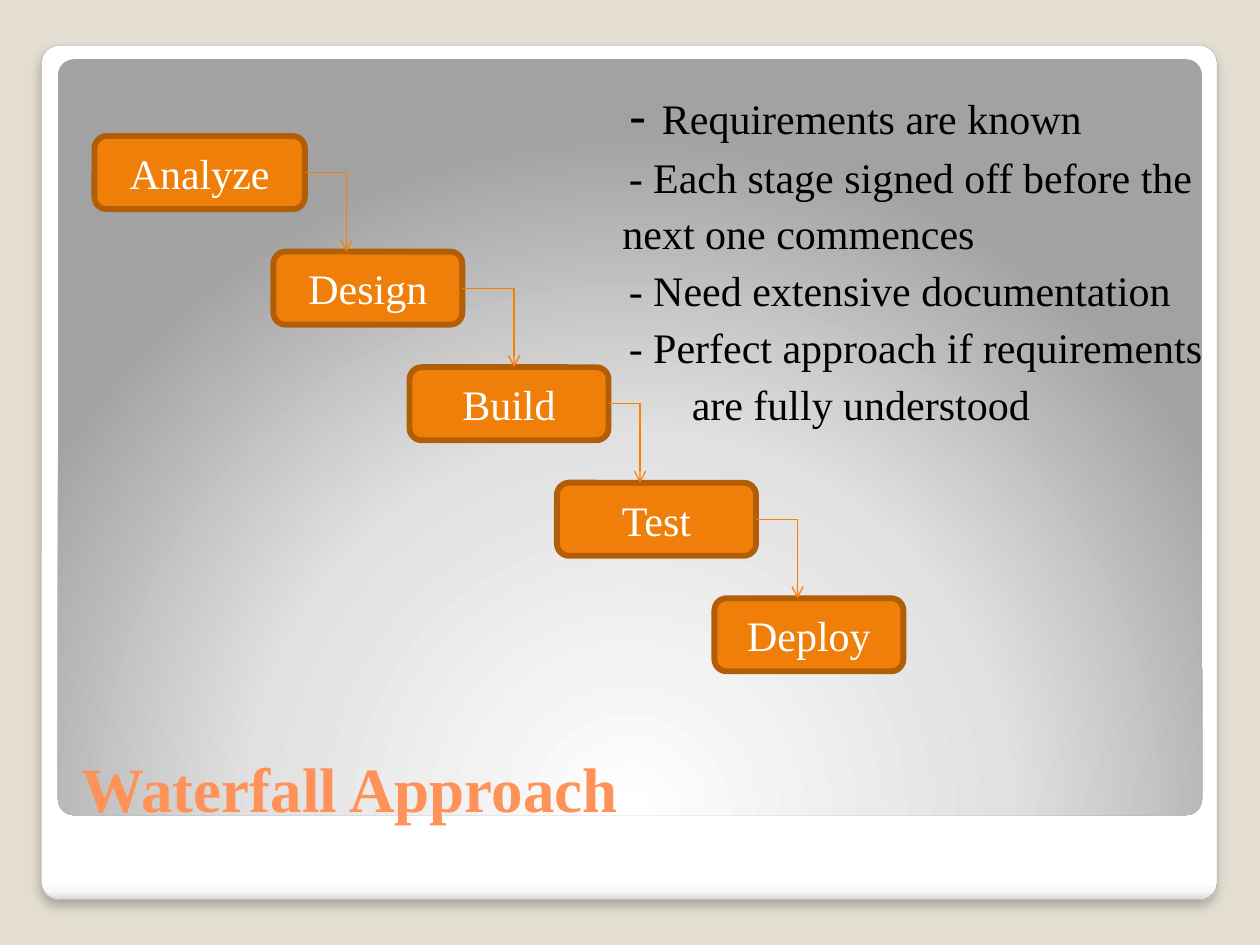
from pptx import Presentation
from pptx.dml.color import RGBColor
from pptx.enum.shapes import MSO_CONNECTOR, MSO_SHAPE
from pptx.enum.text import MSO_ANCHOR, MSO_AUTO_SIZE, PP_ALIGN
from pptx.oxml import parse_xml
from pptx.oxml.ns import nsdecls, qn
from pptx.util import Inches, Pt

ROUND = MSO_SHAPE.ROUNDED_RECTANGLE
ELBOW = MSO_CONNECTOR.ELBOW
LEFT, CENTER = PP_ALIGN.LEFT, PP_ALIGN.CENTER
MIDDLE, TOP, BOTTOM = MSO_ANCHOR.MIDDLE, MSO_ANCHOR.TOP, MSO_ANCHOR.BOTTOM
NONE = MSO_AUTO_SIZE.NONE
COLORS = {
    "back": "E3DED1", "edge": "A4A4A4", "title": "FF9258", "text": "000000",
    "box": "F07F09", "rim": "B25E07", "arrow": "F97F00", "white": "FFFFFF",
}


def color(name):
    return RGBColor.from_string(COLORS[name])


def write(par, text, size=24, tone="text", font="Times New Roman", bold=False, align=LEFT):
    par.alignment = align
    run = par.add_run()
    run.text = text
    run.font.size = Pt(size)
    run.font.name = font
    run.font.bold = bold
    run.font.color.rgb = color(tone)


deck = Presentation()
deck.slide_width, deck.slide_height = Inches(10), Inches(7.5)
slide = deck.slides.add_slide(deck.slide_layouts[1])
slide.background.fill.solid()
slide.background.fill.fore_color.rgb = color("back")
shapes = slide.shapes
title, body = slide.placeholders

cards = [
    ((0.33, 0.36, 9.33, 6.78),
     [(0, "FFFFFF"), (98, "FFFFFF"), (99, "F7F7F7"), (100, "DADADA")],
     '<a:lin ang="5400000" scaled="0"/>'),
    ((0.46, 0.47, 9.08, 6),
     [(0, "FFFFFF"), (55, "E1E1E1"), (100, "A2A2A2")],
     '<a:path path="circle"><a:fillToRect l="50000" t="175000" r="50000" b="-75000"/></a:path>'),
]
frames = []
for place, stops, way in cards:
    card = shapes.add_shape(ROUND, *map(Inches, place))
    card.adjustments[0] = 0.021
    card.shadow.inherit = False
    card.line.fill.background()
    card.fill.background()
    marks = "".join(
        f'<a:gs pos="{pos * 1000}"><a:srgbClr val="{tone}"/></a:gs>' for pos, tone in stops)
    grad = parse_xml(
        f'<a:gradFill {nsdecls("a")} rotWithShape="1"><a:gsLst>{marks}</a:gsLst>{way}</a:gradFill>')
    props = card.element.spPr
    props.replace(props.find(qn("a:noFill")), grad)
    frames.append(card)

outer = frames[0]
outer.line.color.rgb = color("edge")
outer.line.width = Pt(0.16)
outer.element.spPr.find(qn("a:effectLst")).append(parse_xml(
    f'<a:outerShdw {nsdecls("a")} blurRad="{Pt(6)}" dist="{Pt(4)}" dir="5400000" algn="t" '
    'rotWithShape="0"><a:srgbClr val="000000"><a:alpha val="25000"/></a:srgbClr></a:outerShdw>'))
for card in frames:
    title.element.addprevious(card.element)

holders = [
    (title, (0.55, 5.45, 8.95, 1.15), BOTTOM),
    (body, (4.74, 0.58, 5.26, 5.42), TOP),
]
for holder, place, anchor in holders:
    holder.left, holder.top, holder.width, holder.height = map(Inches, place)
    holder.text_frame.auto_size = NONE
    holder.text_frame.vertical_anchor = anchor
write(title.text_frame.paragraphs[0], "Waterfall Approach", size=36, tone="title", bold=True)

frame = body.text_frame
frame.margin_left, frame.margin_top = Inches(0.2), Inches(0.1)
points = [
    (0.05, "Requirements are known"),
    (0.05, "- Each stage signed off before the"),
    (0, "next one commences"),
    (0.05, "- Need extensive documentation"),
    (0.05, "- Perfect approach if requirements"),
    (0.55, "are fully understood"),
]
for num, (indent, text) in enumerate(points):
    par = frame.add_paragraph() if num else frame.paragraphs[0]
    par.space_before = Pt(3.7)
    if num == 0:
        write(par, "- ", size=28, font="DejaVu Sans")
    write(par, text)
    props = par._p.get_or_add_pPr()
    props.set("marL", str(Inches(indent)))
    props.set("indent", "0")
    props.append(parse_xml(f'<a:buNone {nsdecls("a")}/>'))

START, STEP, HIGH = 1.08, 0.917, 0.58
stages = [
    ("Analyze", 0.75, 1.67, 2.75),
    ("Design", 2.17, 1.5, 4.08),
    ("Build", 3.25, 1.58, 5.08),
    ("Test", 4.42, 1.58, 6.33),
    ("Deploy", 5.67, 1.5, None),
]
for num, (name, left, wide, turn) in enumerate(stages):
    top = START + num * STEP
    box = shapes.add_shape(ROUND, Inches(left), Inches(top), Inches(wide), Inches(HIGH))
    box.shadow.inherit = False
    box.fill.solid()
    box.fill.fore_color.rgb = color("box")
    box.line.color.rgb = color("rim")
    box.line.width = Pt(3.35)
    box.text_frame.vertical_anchor = MIDDLE
    write(box.text_frame.paragraphs[0], name, tone="white", align=CENTER)

for num, (name, left, wide, turn) in enumerate(stages[:-1]):
    top = START + num * STEP
    arrow = shapes.add_connector(
        ELBOW, Inches(left + wide), Inches(top + HIGH / 2), Inches(turn), Inches(top + STEP))
    arrow.line.color.rgb = color("arrow")
    arrow.line.width = Pt(0.75)
    props = arrow._element.spPr
    props.find(qn("a:prstGeom")).set("prst", "bentConnector2")
    props.find(qn("a:ln")).append(parse_xml(f'<a:tailEnd {nsdecls("a")} type="arrow"/>'))
    props.append(parse_xml(f'<a:effectLst {nsdecls("a")}/>'))

deck.save("out.pptx")
